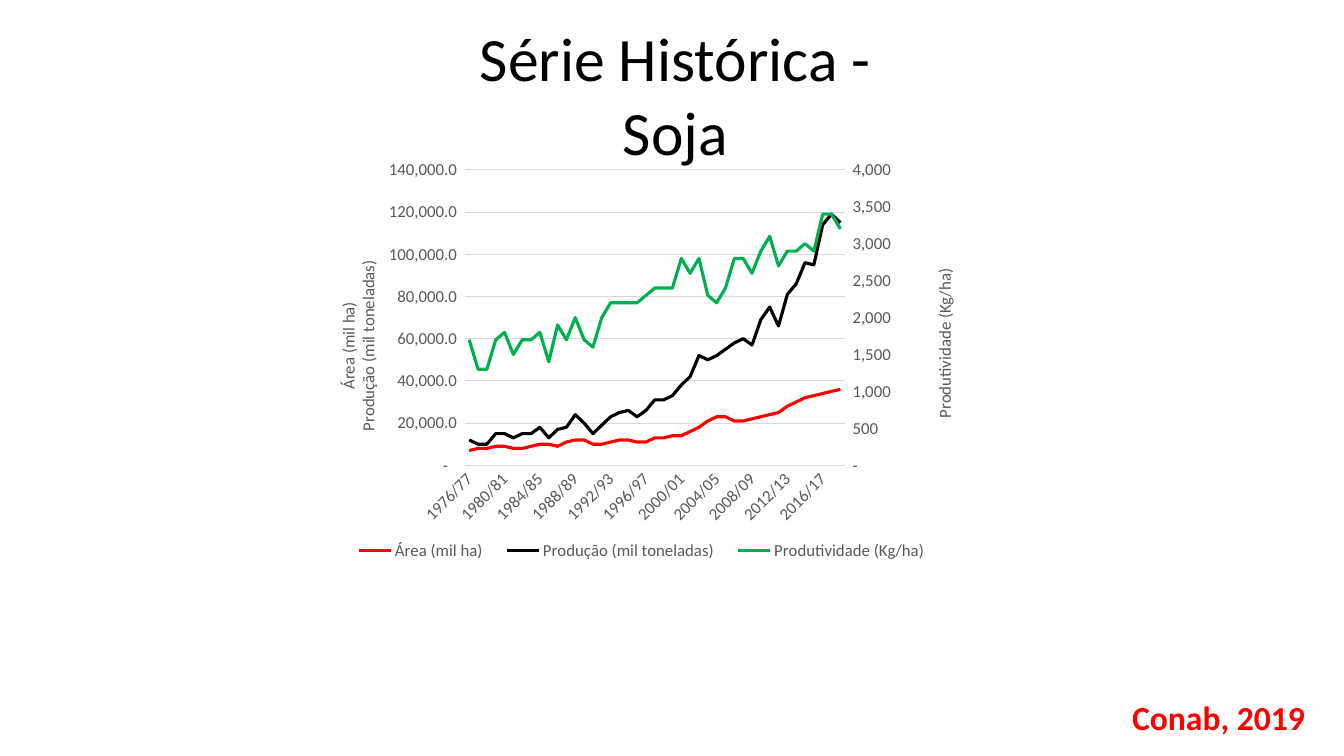
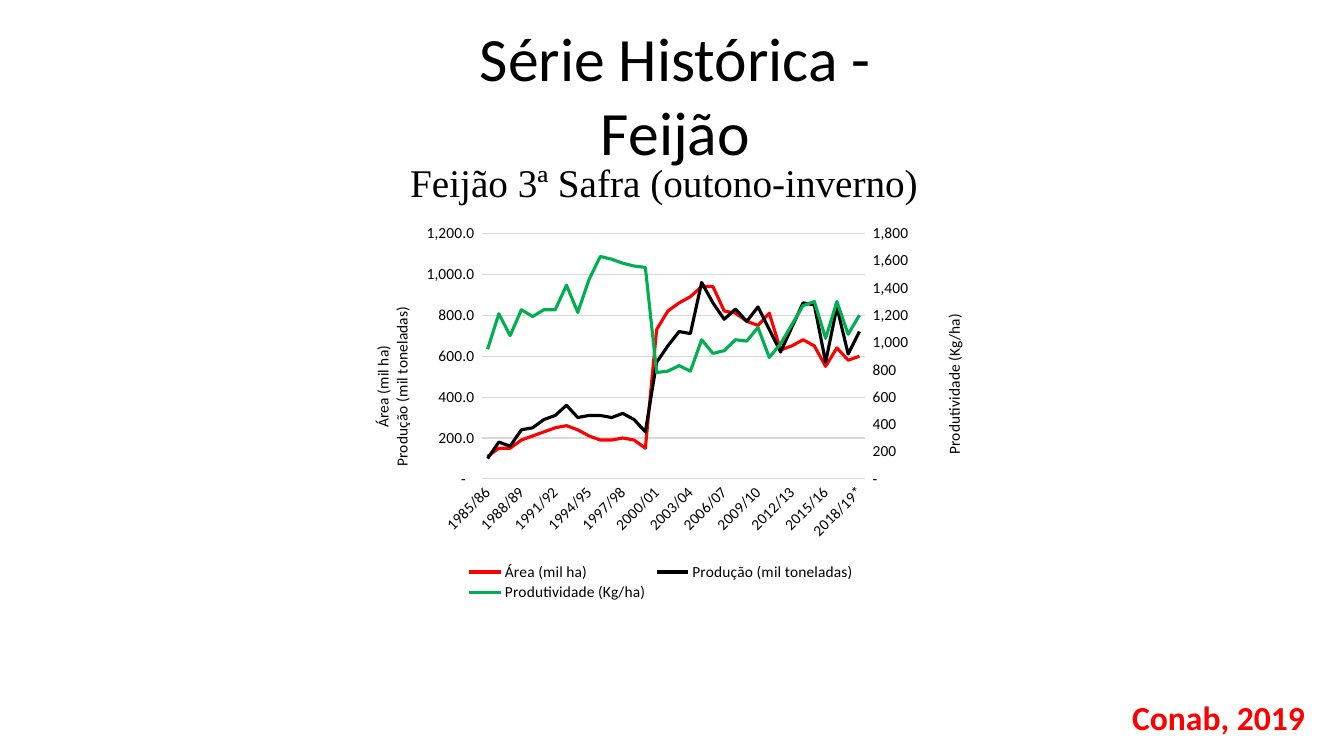
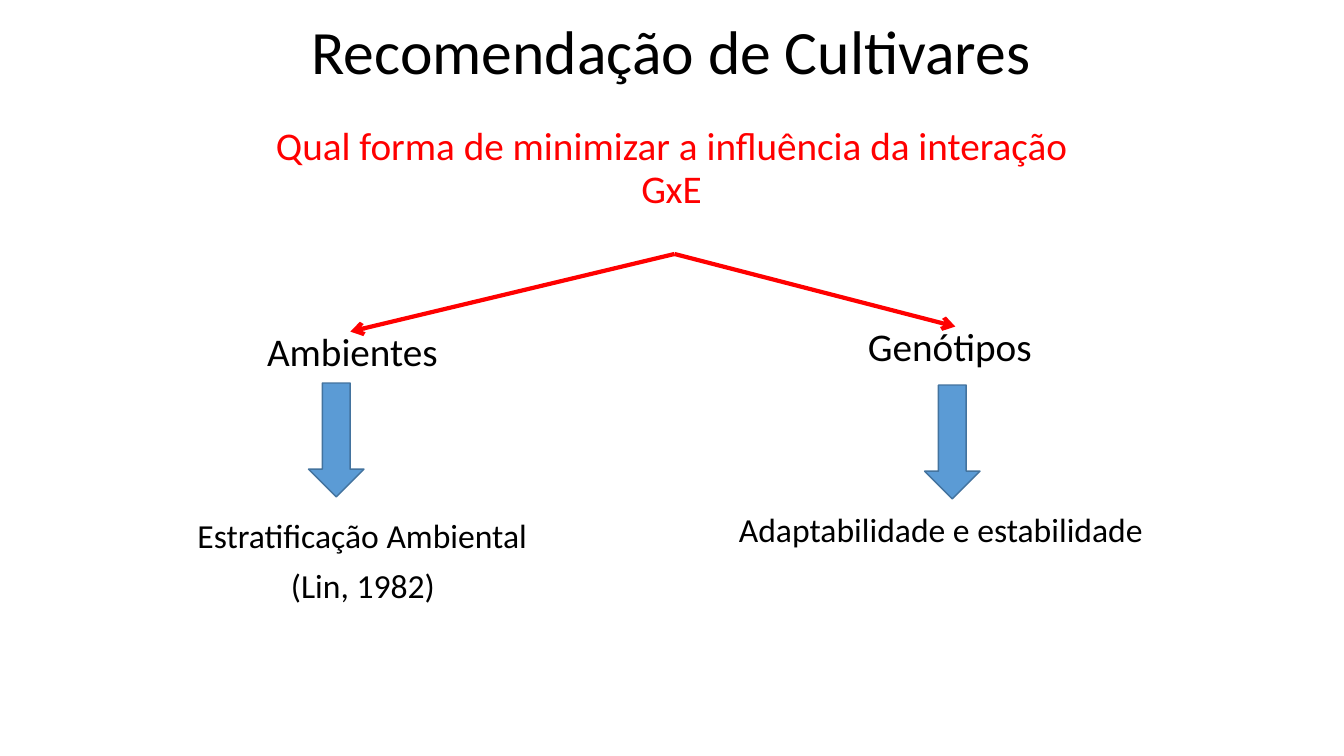
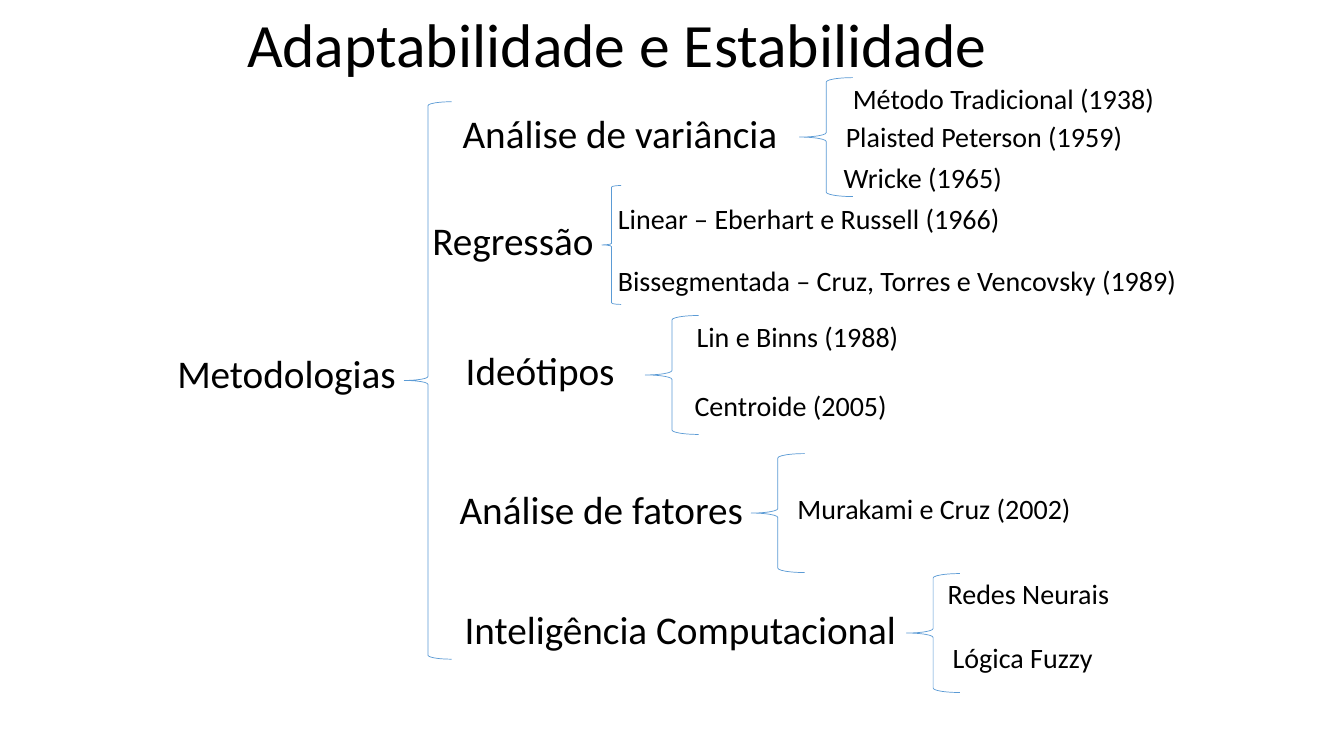
from copy import deepcopy

from lxml.etree import SubElement
from pptx import Presentation
from pptx.chart.axis import ValueAxis
from pptx.chart.data import CategoryChartData
from pptx.dml.color import RGBColor
from pptx.enum.chart import XL_CHART_TYPE, XL_LEGEND_POSITION, XL_TICK_MARK
from pptx.enum.shapes import MSO_CONNECTOR, MSO_SHAPE
from pptx.enum.text import MSO_ANCHOR, MSO_AUTO_SIZE, PP_ALIGN
from pptx.oxml import parse_xml
from pptx.oxml.ns import nsdecls, qn
from pptx.util import Inches, Pt

COLORS = {
    "black": "000000", "red": "FF0000", "green": "00B050", "gray": "595959",
    "grid": "D9D9D9", "blue": "5B9BD5", "blue_edge": "43739E",
}
FONT = "Calibri"
SERIES = {"Área (mil ha)": "red", "Produção (mil toneladas)": "black",
          "Produtividade (Kg/ha)": "green"}
DECIMAL_FORMAT = '_(* #,##0.0_);_(* \\(#,##0.0\\);_(* "-"?_)'
WHOLE_FORMAT = '_(* #,##0_);_(* \\(#,##0\\);_(* "-"??_)'

SOYBEAN = {
    "first_year": 1976,
    "values": [
        [7000, 8000, 8000, 9000, 9000, 8000, 8000, 9000, 10000, 10000, 9000,
         11000, 12000, 12000, 10000, 10000, 11000, 12000, 12000, 11000, 11000,
         13000, 13000, 14000, 14000, 16000, 18000, 21000, 23000, 23000, 21000,
         21000, 22000, 23000, 24000, 25000, 28000, 30000, 32000, 33000, 34000,
         35000, 36000],
        [12000, 10000, 10000, 15000, 15000, 13000, 15000, 15000, 18000, 13000,
         17000, 18000, 24000, 20000, 15000, 19000, 23000, 25000, 26000, 23000,
         26000, 31000, 31000, 33000, 38000, 42000, 52000, 50000, 52000, 55000,
         58000, 60000, 57000, 69000, 75000, 66000, 81000, 86000, 96000, 95000,
         114000, 119000, 115000],
        [1700, 1300, 1300, 1700, 1800, 1500, 1700, 1700, 1800, 1400, 1900,
         1700, 2000, 1700, 1600, 2000, 2200, 2200, 2200, 2200, 2300, 2400,
         2400, 2400, 2800, 2600, 2800, 2300, 2200, 2400, 2800, 2800, 2600,
         2900, 3100, 2700, 2900, 2900, 3000, 2900, 3400, 3400, 3200],
    ],
    "frame": (3.05, 1.52, 6.5, 4.13), "size": 12, "color": "gray",
    "left_scale": (140000, 20000), "right_scale": (4000, 500),
    "plot": (0.24, 0.04, 0.58, 0.71), "legend": (0.05, 0.92, 0.92, 0.07),
    "left_title": (0.04, 0.25), "right_title": (0.95, 0.27),
}
BEAN = {
    "first_year": 1985,
    "values": [
        [110, 150, 150, 190, 210, 230, 250, 260, 240, 210, 190, 190, 200, 190,
         150, 730, 820, 860, 890, 940, 940, 820, 810, 770, 750, 810, 630, 650,
         680, 650, 550, 640, 580, 600],
        [100, 180, 160, 240, 250, 290, 310, 360, 300, 310, 310, 300, 320, 290,
         230, 570, 650, 720, 710, 960, 860, 780, 830, 770, 840, 730, 620, 740,
         860, 850, 570, 840, 610, 720],
        [950, 1210, 1050, 1240, 1190, 1240, 1240, 1420, 1220, 1460, 1630,
         1610, 1580, 1560, 1550, 780, 790, 830, 790, 1020, 920, 940, 1020,
         1010, 1110, 890, 990, 1130, 1270, 1300, 1030, 1300, 1060, 1200],
    ],
    "frame": (3.41, 2.16, 6.23, 3.87), "size": 11, "color": "black",
    "left_scale": (1200, 200), "right_scale": (1800, 200),
    "plot": (0.22, 0.04, 0.61, 0.63), "legend": (0.19, 0.88, 0.63, 0.11),
    "left_title": (0.04, 0.22), "right_title": (0.95, 0.24),
}

# Each branch: label box, brace box, then items as (text, left, top)
BRANCHES = [
    (("Análise de variância", 4.49, 1.09, 3.6), (7.93, 0.77, 0.53),
     [("Método Tradicional (1938)", 8.36, 0.8),
      ("Plaisted Peterson (1959)", 8.29, 1.17),
      ("Wricke (1965)", 8.27, 1.58)]),
    (("Regressão", 4.19, 2.15, 2.42), (5.97, 1.84, 0.19),
     [("Linear – Eberhart e Russell (1966)", 6.03, 1.99),
      ("Bissegmentada – Cruz, Torres e Vencovsky (1989)", 6.03, 2.6)]),
    (("Ideótipos", 4.52, 3.44, 2.42), (6.4, 3.13, 0.53),
     [("Lin e Binns (1988)", 6.81, 3.16), ("Centroide (2005)", 6.79, 3.84)]),
    (("Análise de fatores", 4.46, 4.82, 3.21), (7.45, 4.5, 0.53),
     [("Murakami e Cruz (2002)", 7.81, 4.86)]),
    (("Inteligência Computacional", 4.51, 6.01, 4.63), (8.99, 5.69, 0.53),
     [("Redes Neurais", 9.3, 5.71), ("Lógica Fuzzy", 9.35, 6.34)]),
]


def rgb(name):
    return RGBColor.from_string(COLORS[name])


def style_font(font, size, color="black", **extra):
    values = {"name": FONT, "size": Pt(size), "bold": False} | extra
    for name, value in values.items():
        setattr(font, name, value)
    font.color.rgb = rgb(color)


def style_line(line, color, width):
    line.color.rgb = rgb(color)
    line.width = Pt(width)


# Text
def fill_text(frame, lines, size, color="black", align=PP_ALIGN.LEFT,
              spacing=0.9, anchor=MSO_ANCHOR.TOP, wrap=True, **font):
    settings = {"auto_size": MSO_AUTO_SIZE.NONE, "word_wrap": wrap,
                "vertical_anchor": anchor}
    for name, value in settings.items():
        setattr(frame, name, value)
    frame.text = lines
    for index, para in enumerate(frame.paragraphs):
        para.alignment = align
        para.line_spacing = spacing
        para.space_before = Pt(10 if index else 0)
        style_font(para.font, size, color, **font)


def add_text(page, at, lines, size, **style):
    box = page.shapes.add_textbox(*map(Inches, at))
    fill_text(box.text_frame, lines, size, **style)
    return box


def add_page(deck, title, at, **style):
    page = deck.slides.add_slide(deck.slide_layouts[5])
    box = page.shapes.title
    for name, value in zip(("left", "top", "width", "height"), at):
        setattr(box, name, Inches(value))
    fill_text(box.text_frame, title, 44, **style)
    return page


# Shapes
def add_preset(page, kind, at, line, width, fill=None):
    shape = page.shapes.add_shape(kind, *map(Inches, at))
    shape.shadow.inherit = False
    if fill:
        shape.fill.solid()
        shape.fill.fore_color.rgb = rgb(fill)
    else:
        shape.fill.background()
    style_line(shape.line, line, width)


def add_brace(page, left, top, width, height=1.18):
    add_preset(page, MSO_SHAPE.LEFT_BRACE, (left, top, width, height),
               "blue", 0.5)


def add_arrow(page, start, target):
    start = [Inches(value) for value in start]
    arrow = page.shapes.add_connector(MSO_CONNECTOR.STRAIGHT, *start, *start)
    arrow.end_connect(target, 0)
    style_line(arrow.line, "red", 3)
    SubElement(arrow.line._get_or_add_ln(), qn("a:tailEnd"), type="arrow")
    SubElement(arrow._element.spPr, qn("a:effectLst"))


# Charts
def place(element, index, fractions, target=""):
    """Give a chart part a manual layout, as fractions of the chart."""
    for old in element.findall(qn("c:layout")):
        element.remove(old)
    sizes = "".join(f'<c:{name} val="{value}"/>'
                    for name, value in zip("xywh", fractions))
    element.insert(index, parse_xml(
        f'<c:layout {nsdecls("c")}><c:manualLayout>{target}'
        f'<c:xMode val="edge"/><c:yMode val="edge"/>{sizes}'
        '</c:manualLayout></c:layout>'))


def split_right_axis(chart):
    """Move the last series to a second value axis and return that axis."""
    plot_area = chart._chartSpace.chart.plotArea
    lines, categories, values = (plot_area.find(qn(f"c:{name}"))
                                 for name in ("lineChart", "catAx", "valAx"))
    right_lines, right_categories, right_values = map(
        deepcopy, (lines, categories, values))
    lines.remove(lines.findall(qn("c:ser"))[-1])
    for series in right_lines.findall(qn("c:ser"))[:-1]:
        right_lines.remove(series)
    ids = ("50001", "50002")
    for element, value in zip(right_lines.findall(qn("c:axId")), ids):
        element.set("val", value)
    for axis, own, other in ((right_categories, *ids),
                             (right_values, *reversed(ids))):
        axis.find(qn("c:axId")).set("val", own)
        axis.find(qn("c:crossAx")).set("val", other)
    right_categories.find(qn("c:delete")).set("val", "1")
    right_values.find(qn("c:axPos")).set("val", "r")
    right_values.find(qn("c:crosses")).set("val", "max")
    lines.addnext(right_lines)
    values.addnext(right_values)
    right_values.addnext(right_categories)
    return ValueAxis(right_values)


def style_value_axis(axis, title, title_at, scale, number_format, size, color):
    settings = {"minimum_scale": 0, "maximum_scale": scale[0],
                "major_unit": scale[1], "major_tick_mark": XL_TICK_MARK.NONE,
                "minor_tick_mark": XL_TICK_MARK.NONE}
    for name, value in settings.items():
        setattr(axis, name, value)
    axis.format.line.fill.background()
    axis.tick_labels.number_format = number_format
    axis.tick_labels.number_format_is_linked = False
    style_font(axis.tick_labels.font, size, color)
    frame = axis.axis_title.text_frame
    frame.text = title
    for para in frame.paragraphs:
        para.alignment = PP_ALIGN.CENTER
        style_font(para.font, size, color)
    body = frame._txBody.bodyPr
    body.set("rot", "-5400000")
    body.set("vert", "horz")
    place(axis.axis_title._element, 1, title_at)


def add_history_chart(page, crop):
    size, color = crop["size"], crop["color"]
    data = CategoryChartData()
    first = crop["first_year"]
    seasons = [f"{year}/{(year + 1) % 100:02d}" for year in range(first, 2019)]
    data.categories = seasons[:-1] + [seasons[-1] + "*"]
    for name, values in zip(SERIES, crop["values"]):
        data.add_series(name, values)
    chart = page.shapes.add_chart(
        XL_CHART_TYPE.LINE, *map(Inches, crop["frame"]), data).chart
    chart.has_title = False
    style_font(chart.font, size, color)
    chart.plots[0].vary_by_categories = False
    for series, line_color in zip(chart.plots[0].series, SERIES.values()):
        series.smooth = False
        style_line(series.format.line, line_color, 2.25)

    # Axes
    left, bottom = chart.value_axis, chart.category_axis
    left.has_major_gridlines = False
    right = split_right_axis(chart)
    left.has_major_gridlines = True
    style_line(left.major_gridlines.format.line, "grid", 0.75)
    area, production, productivity = SERIES
    style_value_axis(left, f"{area}\n{production}", crop["left_title"],
                     crop["left_scale"], DECIMAL_FORMAT, size, color)
    style_value_axis(right, productivity, crop["right_title"],
                     crop["right_scale"], WHOLE_FORMAT, size, color)
    bottom.major_tick_mark = XL_TICK_MARK.NONE
    style_line(bottom.format.line, "grid", 0.75)
    style_font(bottom.tick_labels.font, size, color)
    bottom._element.find(qn("c:txPr")).bodyPr.set("rot", "-2700000")

    # Legend and plot area
    chart.has_legend = True
    legend = chart.legend
    legend.position = XL_LEGEND_POSITION.BOTTOM
    legend.include_in_layout = False
    style_font(legend.font, size, color)
    place(legend._element, 1, crop["legend"])
    place(chart._chartSpace.chart.plotArea, 0, crop["plot"],
          '<c:layoutTarget val="inner"/>')


# Slides
def add_history_page(deck, title, crop):
    page = add_page(deck, title, (4.25, 0.15, 4.9, 1.5),
                    align=PP_ALIGN.CENTER, spacing=1.0)
    add_text(page, (11.13, 6.86, 1.93, 0.5), "Conab, 2019", 24, color="red",
             spacing=1.0, wrap=False, bold=True)
    add_history_chart(page, crop)
    return page


def add_recommendation_page(deck):
    page = add_page(deck, "Recomendação de Cultivares",
                    (2.35, -0.18, 8.62, 1.45), align=PP_ALIGN.CENTER,
                    anchor=MSO_ANCHOR.MIDDLE)
    add_text(page, (2.35, 1.21, 8.62, 1.1),
             "Qual forma de minimizar a influência da interação GxE", 28,
             color="red", align=PP_ALIGN.CENTER)
    for name, left, top, align in (
            ("Ambientes", 2.51, 3.29, PP_ALIGN.RIGHT),
            ("Genótipos", 8.51, 3.24, PP_ALIGN.LEFT)):
        box = add_text(page, (left, top, 1.93, 0.5), name, 28, align=align,
                       spacing=0.8)
        add_arrow(page, (6.69, 2.52), box)
    for left, top in ((3.06, 3.8), (9.17, 3.82)):
        add_preset(page, MSO_SHAPE.DOWN_ARROW, (left, top, 0.55, 1.13),
                   "blue_edge", 1, fill="blue")
    box = add_text(page, (1.86, 5.1, 3.48, 1.0),
                   "Estratificação Ambiental\n(Lin, 1982)", 24)
    box.text_frame.paragraphs[1].alignment = PP_ALIGN.CENTER
    add_text(page, (7.23, 5.04, 4.42, 0.5), "Adaptabilidade e estabilidade", 24)


def add_methods_page(deck):
    page = add_page(deck, "Adaptabilidade e Estabilidade",
                    (2.35, -0.25, 8.62, 1.45), anchor=MSO_ANCHOR.MIDDLE)
    add_text(page, (1.66, 3.47, 2.42, 0.56), "Metodologias", 28)
    add_brace(page, 4.01, 1.01, 0.47, 5.53)
    for (label, left, top, width), brace, items in BRANCHES:
        add_text(page, (left, top, width, 0.56), label, 28)
        add_brace(page, *brace)
        for item, item_left, item_top in items:
            add_text(page, (item_left, item_top, 13.2 - item_left, 0.56),
                     item, 20)


def main():
    deck = Presentation()
    deck.slide_width, deck.slide_height = Inches(13.33), Inches(7.5)
    add_history_page(deck, "Série Histórica - Soja", SOYBEAN)
    page = add_history_page(deck, "Série Histórica - Feijão", BEAN)
    add_text(page, (3.97, 1.52, 5.67, 0.57), "Feijão 3ª Safra (outono-inverno)",
             28, spacing=1.0, name="Times New Roman")
    add_recommendation_page(deck)
    add_methods_page(deck)
    deck.save("out.pptx")


if __name__ == "__main__":
    main()
